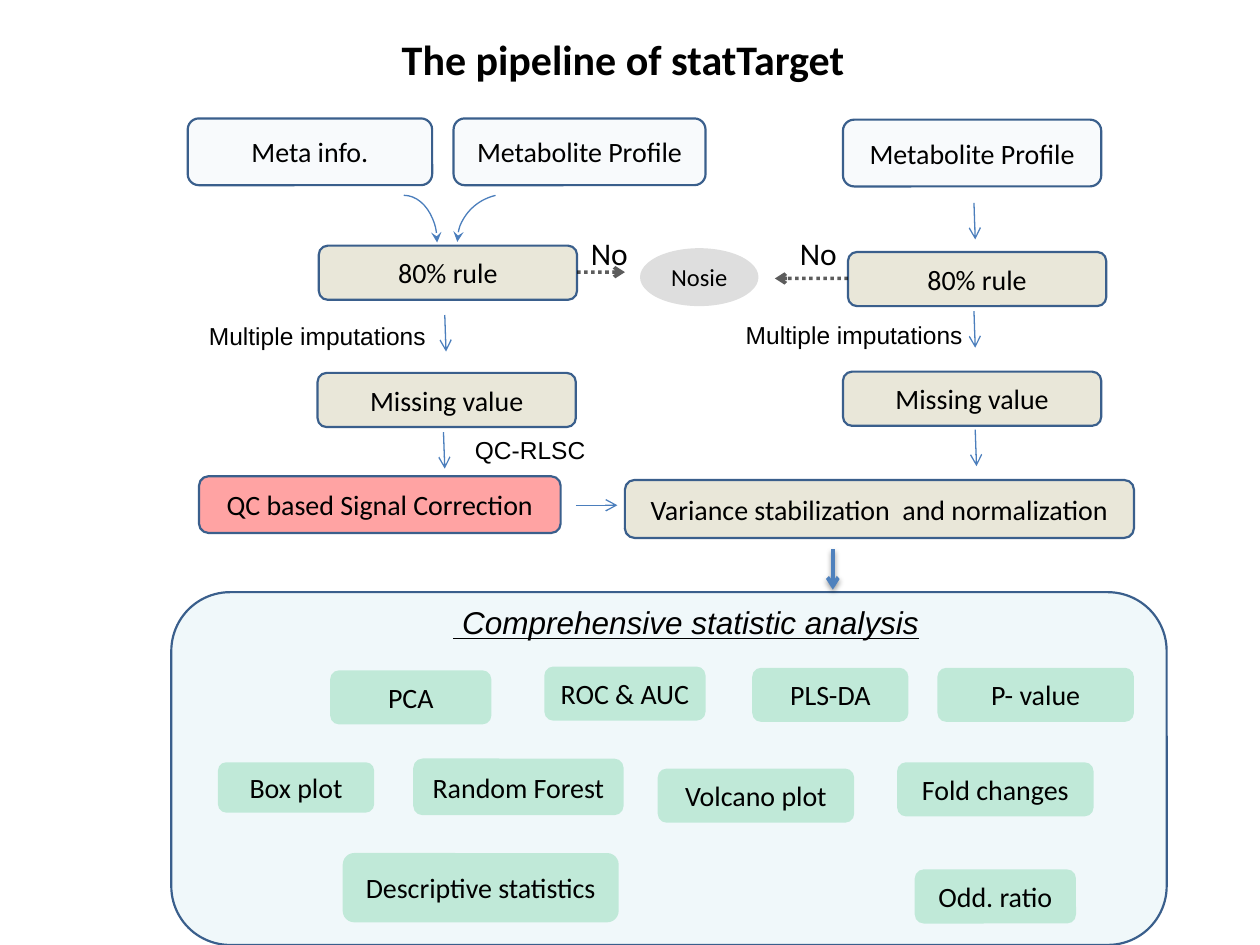
import dataclasses

import lxml.etree
import pptx
import pptx.dml.color
import pptx.enum.dml
import pptx.enum.shapes
import pptx.enum.text
import pptx.oxml.ns
import pptx.util

Inches = pptx.util.Inches
Pt = pptx.util.Pt
qn = pptx.oxml.ns.qn
SHAPES = pptx.enum.shapes.MSO_SHAPE
ALIGN = pptx.enum.text.PP_ALIGN
ANCHOR = pptx.enum.text.MSO_ANCHOR
FIT = pptx.enum.text.MSO_AUTO_SIZE


@dataclasses.dataclass(frozen=True)
class Theme:
    ink: str = "000000"
    outline: str = "3A5F8C"
    flow: str = "4B7EBC"
    result_flow: str = "4F81BD"
    data: tuple = ("4F81BD", 4)
    step: tuple = ("C4BD97", 36)
    correction: tuple = ("FF0000", 36)
    method: tuple = ("00B050", 20)
    panel: tuple = ("B7DEE8", 20)
    noise: tuple = ("808080", 26)
    body_font: str = "Calibri"
    label_font: str = "Arial"
    title_size: int = 24
    heading_size: int = 18
    box_size: int = 16
    label_size: int = 14


def rgb(value):
    return pptx.dml.color.RGBColor.from_string(value)


def add_child(parent, tag, **attributes):
    child = lxml.etree.SubElement(parent, qn(tag))
    for key, value in attributes.items():
        child.set(key, str(value))
    return child


def set_alpha(properties, percent):
    color = properties.find(qn("a:solidFill")).find(qn("a:srgbClr"))
    add_child(color, "a:alpha", val=percent * 1000)


def write(frame, text, font, size, color, align=ALIGN.LEFT, anchor=ANCHOR.TOP,
          wrap=True, fit=FIT.NONE, bold=False, italic=False, underline=False):
    frame.word_wrap = wrap
    frame.auto_size = fit
    frame.vertical_anchor = anchor
    paragraph = frame.paragraphs[0]
    paragraph.alignment = align
    run = paragraph.add_run()
    run.text = text
    run.font.name = font
    run.font.size = Pt(size)
    run.font.color.rgb = rgb(color)
    run.font.bold = bold
    run.font.italic = italic
    run.font.underline = underline
    return paragraph


class Pipeline:
    def __init__(self, slide, theme):
        self.slide = slide
        self.theme = theme

    def title(self, text, *place):
        heading = self.slide.shapes.title
        heading.left, heading.top, heading.width, heading.height = map(Inches, place)
        paragraph = write(heading.text_frame, text, self.theme.body_font,
                          self.theme.title_size, self.theme.ink, align=ALIGN.CENTER,
                          wrap=False, fit=FIT.SHAPE_TO_FIT_TEXT, bold=True)
        paragraph.line_spacing = 0.9

    def box(self, text, tint, *place, kind=SHAPES.ROUNDED_RECTANGLE,
            outlined=True, size=None):
        shape = self.slide.shapes.add_shape(kind, *map(Inches, place))
        shape.shadow.inherit = False
        color, opacity = tint
        shape.fill.solid()
        shape.fill.fore_color.rgb = rgb(color)
        set_alpha(shape.element.spPr, opacity)
        if outlined:
            shape.line.color.rgb = rgb(self.theme.outline)
            shape.line.width = Pt(1.25)
        else:
            shape.line.fill.background()
        if text:
            write(shape.text_frame, text, self.theme.body_font,
                  size or self.theme.box_size, self.theme.ink,
                  align=ALIGN.CENTER, anchor=ANCHOR.MIDDLE)

    def label(self, text, *place, **style):
        note = self.slide.shapes.add_textbox(*map(Inches, place))
        style = {"font": self.theme.label_font, "size": self.theme.label_size,
                 "color": self.theme.ink, "fit": FIT.SHAPE_TO_FIT_TEXT, **style}
        write(note.text_frame, text, **style)

    def arrow(self, *ends, color=None, width=0.75, dotted=False, shadow=False):
        link = self.slide.shapes.add_connector(
            pptx.enum.shapes.MSO_CONNECTOR.STRAIGHT, *map(Inches, ends))
        link.line.color.rgb = rgb(color or self.theme.flow)
        link.line.width = Pt(width)
        properties = link.element.spPr
        outline = properties.find(qn("a:ln"))
        if dotted:
            link.line.dash_style = pptx.enum.dml.MSO_LINE.ROUND_DOT
            set_alpha(outline, 63)
        add_child(outline, "a:tailEnd", type="arrow")
        effects = add_child(properties, "a:effectLst")
        if shadow:
            cast = add_child(effects, "a:outerShdw", blurRad=Pt(3.1), dist=Pt(1.6),
                             dir=90 * 60000, rotWithShape=0)
            tone = add_child(cast, "a:srgbClr", val=self.theme.ink)
            add_child(tone, "a:alpha", val=38000)

    def curve(self, *place, start=None, flipped=False):
        bend = self.slide.shapes.add_shape(SHAPES.ARC, *map(Inches, place))
        bend.shadow.inherit = False
        bend.fill.background()
        bend.line.color.rgb = rgb(self.theme.flow)
        bend.line.width = Pt(0.75)
        if start is not None:
            bend.adjustments[0] = start
        properties = bend.element.spPr
        add_child(properties.find(qn("a:ln")), "a:tailEnd", type="stealth")
        if flipped:
            properties.find(qn("a:xfrm")).set("flipH", "1")


def main():
    deck = pptx.Presentation()
    deck.slide_width, deck.slide_height = Inches(10), Inches(7.5)
    theme = Theme()
    page = Pipeline(deck.slides.add_slide(deck.slide_layouts[5]), theme)

    page.title("The pipeline of statTarget", 3.07, 0.26, 3.75, 0.46)
    page.box("", theme.panel, 1.36, 4.7, 7.9, 2.8)

    for text, left, top, width in [
        ("Meta info.", 1.49, 0.94, 1.94),
        ("Metabolite Profile", 3.6, 0.94, 2),
        ("Metabolite Profile", 6.69, 0.95, 2.05),
    ]:
        page.box(text, theme.data, left, top, width, 0.53)

    for text, left, top in [
        ("80% rule", 2.53, 1.95), ("Missing value", 2.52, 2.96),
        ("80% rule", 6.73, 2), ("Missing value", 6.69, 2.95),
    ]:
        page.box(text, theme.step, left, top, 2.05, 0.43)

    page.box("QC based Signal Correction", theme.correction, 1.58, 3.78, 2.87, 0.45)
    page.box("Variance stabilization  and normalization", theme.step,
             4.96, 3.81, 4.04, 0.46)
    page.box("Nosie", theme.noise, 5.08, 1.97, 0.94, 0.46, kind=SHAPES.OVAL,
             outlined=False, size=theme.label_size)

    for text, left, top, width in [
        ("Multiple imputations", 1.56, 2.5, 1.93),
        ("Multiple imputations", 5.82, 2.49, 1.93),
        ("QC-RLSC", 3.67, 3.4, 1.09),
    ]:
        page.label(text, left, top, width, 0.34, wrap=False)
    for left in (4.59, 6.25):
        page.label("No", left, 1.81, 0.79, 0.4, font=theme.body_font,
                   size=theme.heading_size)
    page.label(" Comprehensive statistic analysis", 3.5, 4.74, 5, 0.4,
               size=theme.heading_size, italic=True, underline=True)

    for x, top in [(3.53, 2.5), (3.52, 3.43), (7.73, 1.61), (7.73, 2.47), (7.74, 3.41)]:
        page.arrow(x, top, x + 0.01, top + 0.29)
    page.arrow(4.57, 4.01, 4.9, 4.01)
    for start, end, y in [(4.58, 4.96, 2.16), (6.73, 6.15, 2.21)]:
        page.arrow(start, y, end, y, color=theme.ink, width=2, dotted=True)
    page.arrow(6.61, 4.36, 6.61, 4.68, color=theme.result_flow, width=2.25, shadow=True)
    page.curve(2.94, 1.55, 0.53, 0.75)
    page.curve(3.63, 1.54, 0.8, 0.76, start=170.76, flipped=True)

    for text, left, top, width, height in [
        ("PCA", 2.62, 5.32, 1.28, 0.43),
        ("ROC & AUC", 4.32, 5.29, 1.28, 0.43),
        ("PLS-DA", 5.97, 5.3, 1.24, 0.43),
        ("P- value", 7.44, 5.3, 1.56, 0.43),
        ("Box plot", 1.73, 6.05, 1.24, 0.4),
        ("Random Forest", 3.28, 6.02, 1.67, 0.45),
        ("Volcano plot", 5.22, 6.1, 1.56, 0.43),
        ("Fold changes", 7.12, 6.05, 1.56, 0.43),
        ("Descriptive statistics", 2.72, 6.77, 2.19, 0.55),
        ("Odd. ratio", 7.26, 6.9, 1.28, 0.43),
    ]:
        page.box(text, theme.method, left, top, width, height, outlined=False)

    deck.save("out.pptx")


if __name__ == "__main__":
    main()
